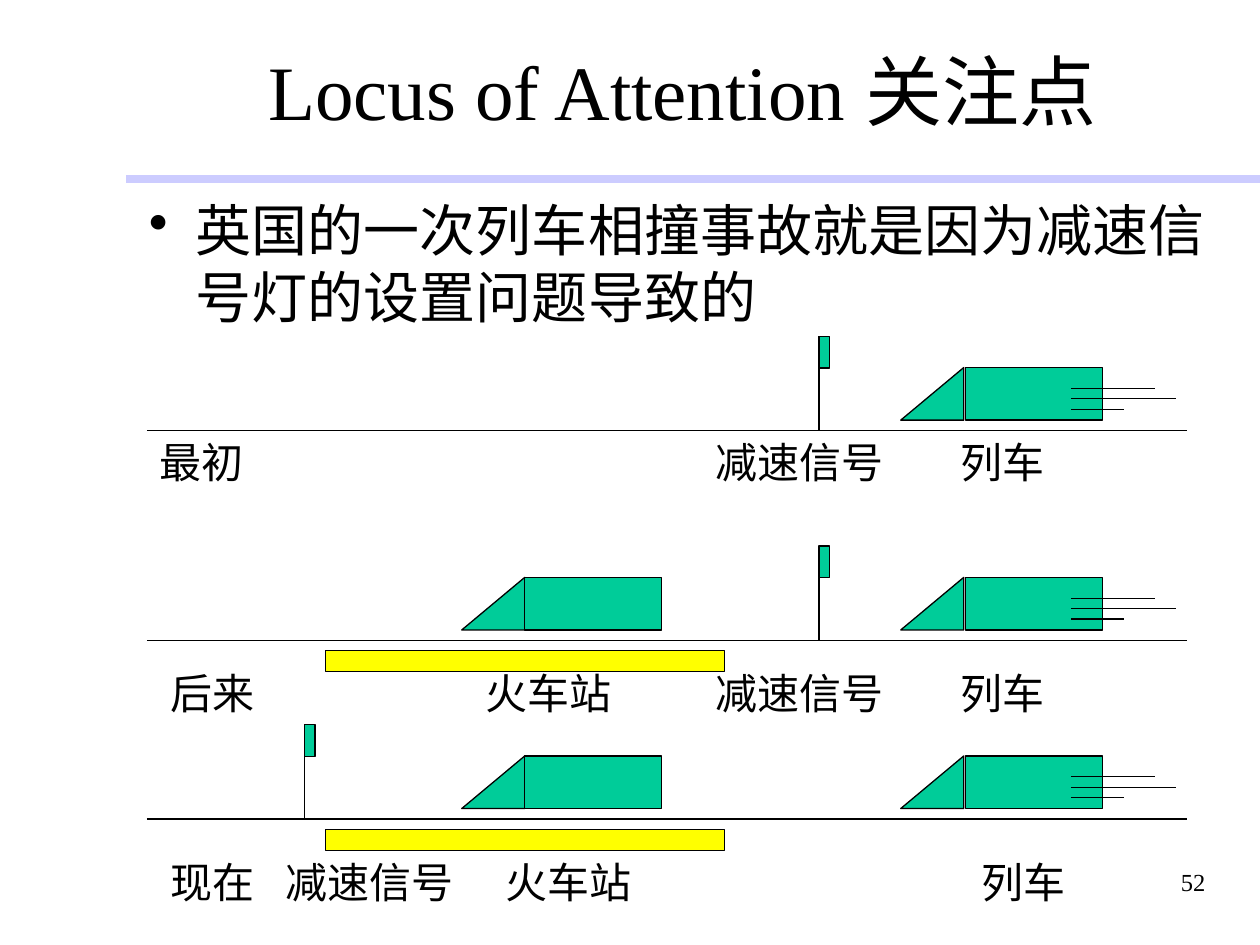
from dataclasses import dataclass
from typing import Optional

from lxml import etree
from pptx import Presentation
from pptx import util as u
from pptx.dml.color import RGBColor
from pptx.enum import shapes, text
from pptx.oxml.ns import qn

COLORS = {"ink": "000000", "rule": "CCCCFF", "train": "00CC99", "platform": "FFFF00"}
FONT = "Times New Roman"
LEFT, CENTER, RIGHT = text.PP_ALIGN.LEFT, text.PP_ALIGN.CENTER, text.PP_ALIGN.RIGHT

# Lengths in cm
TRACK_X = (2.96, 23.92)
TRAIN_W, TRAIN_H, NOSE_W = 2.75, 1.06, 1.27
TRAIN_RISE = 1.27
SIGNAL_RISE, FLAG_W, FLAG_H = 1.9, 0.21, 0.64
MOVING_X, STATION_TRAIN_X = 19.47, 10.58
PLATFORM_X, PLATFORM_W, PLATFORM_H = 6.56, 8.04, 0.42
SPEED_X = 21.59
SPEED_LENGTHS = (1.69, 2.12, 1.06)


@dataclass(frozen=True)
class Label:
    text: str
    x: float
    w: float = 4.02
    align: text.PP_ALIGN = LEFT


@dataclass(frozen=True)
class Scene:
    track_y: float
    signal_x: float
    has_station: bool
    label_y: float
    labels: tuple[Label, ...]


SCENES = (
    Scene(8.68, 16.51, False, 8.68, (
        Label("最初", 2.96, 3.81), Label("减速信号", 14.18),
        Label("列车", 18.2, align=CENTER))),
    Scene(12.91, 16.51, True, 13.34, (
        Label("后来", 3.18, 3.81), Label("火车站", 9.53, 3.81),
        Label("减速信号", 14.18), Label("列车", 18.2, align=CENTER))),
    Scene(16.51, 6.14, True, 17.15, (
        Label("现在", 3.18, 3.81), Label("减速信号", 5.5),
        Label("火车站", 9.95, 3.81), Label("列车", 18.63, align=CENTER))),
)


def color(name: str) -> RGBColor:
    return RGBColor.from_string(COLORS[name])


def add_text(parent, words: str, x: float, y: float, w: float, h: float,
             size: int, align=LEFT, anchor=text.MSO_ANCHOR.TOP,
             bullet: Optional[str] = None) -> None:
    tf = parent.add_textbox(u.Cm(x), u.Cm(y), u.Cm(w), u.Cm(h)).text_frame
    tf.word_wrap = True
    tf.vertical_anchor = anchor
    p = tf.paragraphs[0]
    p.alignment = align
    if bullet:
        ppr = p._p.get_or_add_pPr()
        ppr.set("marL", str(u.Cm(0.95)))
        ppr.set("indent", str(-u.Cm(0.95)))
        etree.SubElement(ppr, qn("a:buChar")).set("char", bullet)
    r = p.add_run()
    r.text = words
    r.font.size = u.Pt(size)
    r.font.name = FONT
    r.font.color.rgb = color("ink")


def add_line(parent, x1: float, y1: float, x2: float, y2: float,
             ink: str = "ink", width: float = 0.75) -> None:
    line = parent.add_connector(shapes.MSO_CONNECTOR.STRAIGHT,
                                u.Cm(x1), u.Cm(y1), u.Cm(x2), u.Cm(y2))
    line.line.color.rgb = color(ink)
    line.line.width = u.Pt(width)
    etree.SubElement(line._element.spPr, qn("a:effectLst"))


def add_block(parent, x: float, y: float, w: float, h: float, fill: str,
              kind=shapes.MSO_SHAPE.RECTANGLE):
    sp = parent.add_shape(kind, u.Cm(x), u.Cm(y), u.Cm(w), u.Cm(h))
    sp.shadow.inherit = False
    sp.fill.solid()
    sp.fill.fore_color.rgb = color(fill)
    sp.line.color.rgb = color("ink")
    sp.line.width = u.Pt(0.75)
    return sp


def add_train(parent, x: float, track_y: float, gap: float = 0) -> None:
    top = track_y - TRAIN_RISE
    nose = add_block(parent, x - gap - NOSE_W, top, NOSE_W, TRAIN_H, "train",
                     shapes.MSO_SHAPE.RIGHT_TRIANGLE)
    nose._element.spPr.xfrm.set("flipH", "1")
    add_block(parent, x, top, TRAIN_W, TRAIN_H, "train")


def add_scene(s, scene: Scene) -> None:
    parent = s.shapes.add_group_shape().shapes
    y = scene.track_y
    # Track and signal
    add_line(parent, TRACK_X[0], y, TRACK_X[1], y)
    add_line(parent, scene.signal_x, y - SIGNAL_RISE, scene.signal_x, y)
    add_block(parent, scene.signal_x, y - SIGNAL_RISE, FLAG_W, FLAG_H, "train")
    # Moving train with speed lines
    add_train(parent, MOVING_X, y, gap=0.04)
    for i, length in enumerate(SPEED_LENGTHS):
        line_y = y - 0.85 + 0.21 * i
        add_line(parent, SPEED_X, line_y, SPEED_X + length, line_y)
    # Station with waiting train
    if scene.has_station:
        add_block(parent, PLATFORM_X, y + 0.21, PLATFORM_W, PLATFORM_H, "platform")
        add_train(parent, STATION_TRAIN_X, y)
    for label in scene.labels:
        add_text(parent, label.text, label.x, scene.label_y, label.w, 1.27, 24, label.align)


def main() -> None:
    prs = Presentation()
    prs.slide_width, prs.slide_height = u.Cm(25.4), u.Cm(19.05)
    s = prs.slides.add_slide(prs.slide_layouts[6])

    # Heading, rule, bullet and page number
    add_text(s.shapes, "Locus of Attention 关注点", 2.96, 0.21, 21.59, 3.18, 44,
             CENTER, text.MSO_ANCHOR.MIDDLE)
    add_line(s.shapes, 2.54, 3.6, 25.4, 3.6, "rule", 4.5)
    add_text(s.shapes, "英国的一次列车相撞事故就是因为减速信号灯的设置问题导致的",
             2.75, 3.81, 22.65, 3.81, 32, bullet="•")
    add_text(s.shapes, "52", 19.26, 17.35, 5.29, 1.27, 14, RIGHT)

    # Three stages of the railway
    for scene in SCENES:
        add_scene(s, scene)

    prs.save("out.pptx")


if __name__ == "__main__":
    main()
